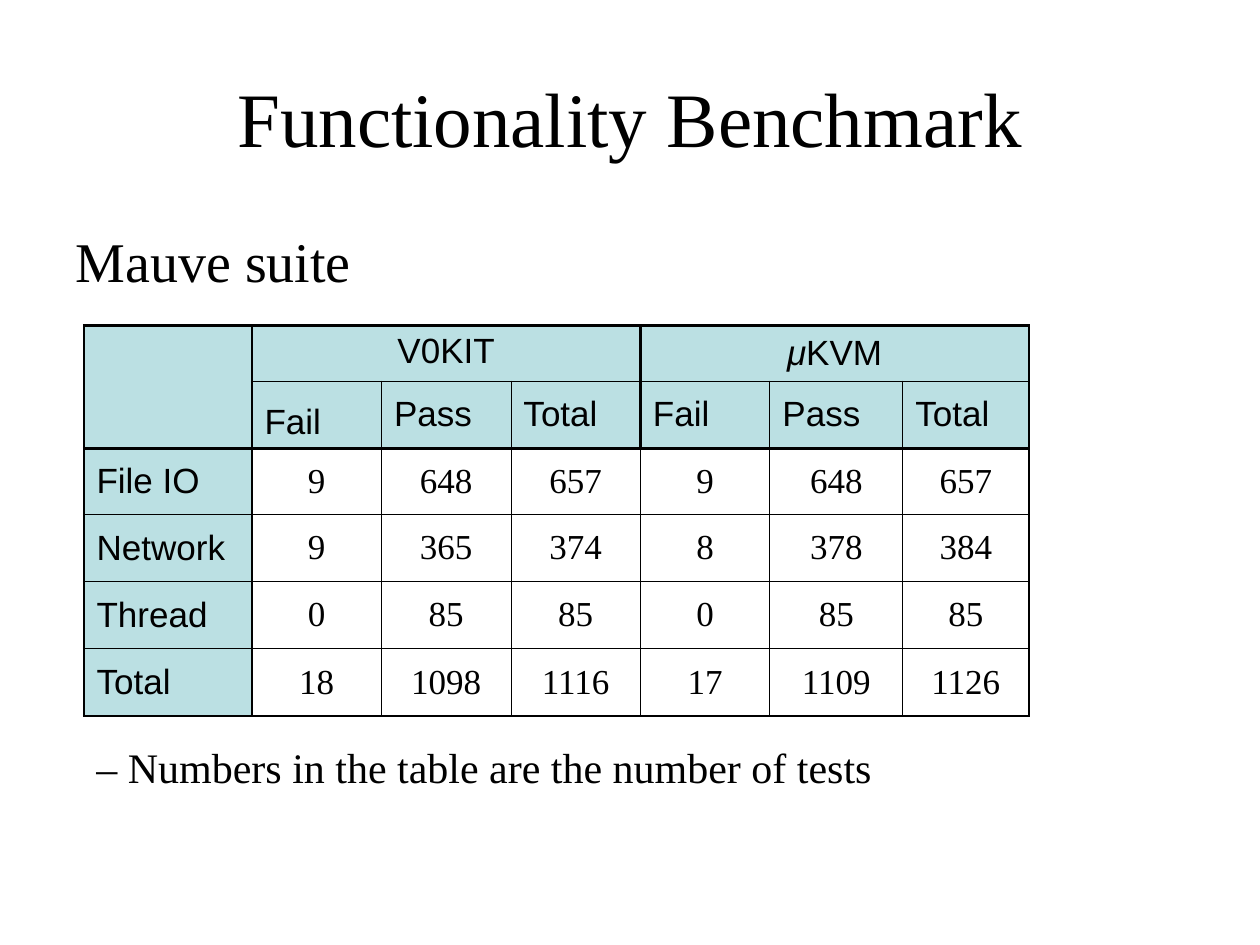
from dataclasses import dataclass

from lxml.etree import SubElement
from pptx import Presentation
from pptx.dml.color import RGBColor as Rgb
from pptx.enum.text import MSO_ANCHOR as Anchor
from pptx.enum.text import MSO_AUTO_SIZE as Fit
from pptx.enum.text import PP_ALIGN as Align
from pptx.oxml.ns import qn
from pptx.util import Pt

COLORS = {"ink": "000000", "head": "BBE0E3", "page": "FFFFFF"}
SERIF, SANS = "Times New Roman", "Arial"
THIN, THICK = 0.45, 1.47

COLS = [96, 74, 74, 74, 74, 76, 72]
ROWS = [31.7, 38.6, 37.7, 38.3, 38.3, 38.6]
GROUPS = {1: "V0KIT", 4: "μKVM"}
KINDS = ["Fail", "Pass", "Total"] * 2
TESTS = [
    ("File IO", 9, 648, 657, 9, 648, 657),
    ("Network", 9, 365, 374, 8, 378, 384),
    ("Thread", 0, 85, 85, 0, 85, 85),
    ("Total", 18, 1098, 1116, 17, 1109, 1126),
]


@dataclass
class Style:
    size: float
    font: str = SERIF
    align: Align = Align.LEFT
    before: float = 0


@dataclass
class Box:
    left: float
    top: float
    width: float
    height: float


def write(frame, text: str, style: Style) -> None:
    """Fill a text frame with one styled paragraph."""
    frame.text = text
    para = frame.paragraphs[0]
    para.alignment = style.align
    para.space_before = Pt(style.before)
    for run in para.runs:
        paint(run, style)


def paint(run, style: Style) -> None:
    run.font.size = Pt(style.size)
    run.font.name = style.font
    run.font.color.rgb = Rgb.from_string(COLORS["ink"])


def place(shape, box: Box) -> None:
    shape.left, shape.top = Pt(box.left), Pt(box.top)
    shape.width, shape.height = Pt(box.width), Pt(box.height)


def border(cell, side: str, width: float) -> None:
    line = SubElement(cell._tc.get_or_add_tcPr(), qn(f"a:ln{side}"), w=str(Pt(width)))
    fill = SubElement(line, qn("a:solidFill"))
    SubElement(fill, qn("a:srgbClr"), val=COLORS["ink"])


def edge(cell, row: int, col: int) -> None:
    """Thick lines frame the table, its headers and the two groups."""
    def across(line: int) -> float:
        return THICK if line in (0, 2, len(ROWS)) else THIN

    def down(line: int) -> float:
        bold = line in (0, 1, len(COLS)) or (line == 4 and row < 2)
        return THICK if bold else THIN

    wide = cell.span_width if cell.is_merge_origin else 1
    tall = cell.span_height if cell.is_merge_origin else 1
    border(cell, "L", down(col))
    border(cell, "R", down(col + wide))
    border(cell, "T", across(row))
    border(cell, "B", across(row + tall))


def dress(cell, row: int, col: int, text: str) -> None:
    head = row < 2 or col == 0
    if not cell.is_spanned:
        edge(cell, row, col)
    if head:
        cell.fill.solid()
        cell.fill.fore_color.rgb = Rgb.from_string(COLORS["head"])
    else:
        cell.fill.background()
    cell.vertical_anchor = {(0, 1): Anchor.TOP, (1, 1): Anchor.BOTTOM}.get(
        (row, col), Anchor.MIDDLE)
    left = col == 0 or row == 1
    style = Style(20, SANS if head else SERIF, Align.LEFT if left else Align.CENTER, 5)
    if not text.startswith("μ"):
        write(cell.text_frame, text, style)
        return
    # The Greek prefix alone is italic
    write(cell.text_frame, text[0], style)
    para = cell.text_frame.paragraphs[0]
    para.runs[0].font.italic = True
    rest = para.add_run()
    rest.text = text[1:]
    paint(rest, style)


def draw_table(slide, box: Box) -> None:
    table = slide.shapes.add_table(
        len(ROWS), len(COLS), Pt(box.left), Pt(box.top), Pt(box.width), Pt(box.height)
    ).table
    table.first_row = table.horz_banding = False
    for col, width in zip(table.columns, COLS):
        col.width = Pt(width)
    for row, height in zip(table.rows, ROWS):
        row.height = Pt(height)
    # Merged headers
    table.cell(0, 0).merge(table.cell(1, 0))
    for col in GROUPS:
        table.cell(0, col).merge(table.cell(0, col + 2))
    top = [GROUPS.get(col, "") for col in range(len(COLS))]
    for row, line in enumerate([top, ["", *KINDS], *TESTS]):
        for col, value in enumerate(line):
            dress(table.cell(row, col), row, col, str(value))


def main() -> None:
    deck = Presentation()
    deck.slide_width, deck.slide_height = Pt(720), Pt(540)
    slide = deck.slides.add_slide(deck.slide_layouts[1])
    slide.background.fill.solid()
    slide.background.fill.fore_color.rgb = Rgb.from_string(COLORS["page"])

    # Title
    title = slide.shapes.title
    place(title, Box(36, 21.6, 648, 90))
    title.text_frame.auto_size = Fit.NONE
    title.text_frame.vertical_anchor = Anchor.MIDDLE
    write(title.text_frame, "Functionality Benchmark", Style(44, align=Align.CENTER))

    # Body without a bullet
    body = slide.placeholders[1]
    place(body, Box(36, 126, 648, 356.4))
    body.text_frame.auto_size = Fit.NONE
    write(body.text_frame, "Mauve suite", Style(32, before=8))
    props = body.text_frame.paragraphs[0]._p.get_or_add_pPr()
    props.set("marL", str(Pt(27)))
    props.set("indent", str(Pt(-27)))
    SubElement(props, qn("a:buNone"))

    # Results
    draw_table(slide, Box(48, 186, sum(COLS), sum(ROWS)))

    # Footnote
    note = slide.shapes.add_textbox(Pt(48), Pt(420), Pt(510), Pt(36))
    note.text_frame.word_wrap = True
    note.text_frame.auto_size = Fit.SHAPE_TO_FIT_TEXT
    write(note.text_frame, "– Numbers in the table are the number of tests",
          Style(24, before=15))

    deck.save("out.pptx")


if __name__ == "__main__":
    main()
